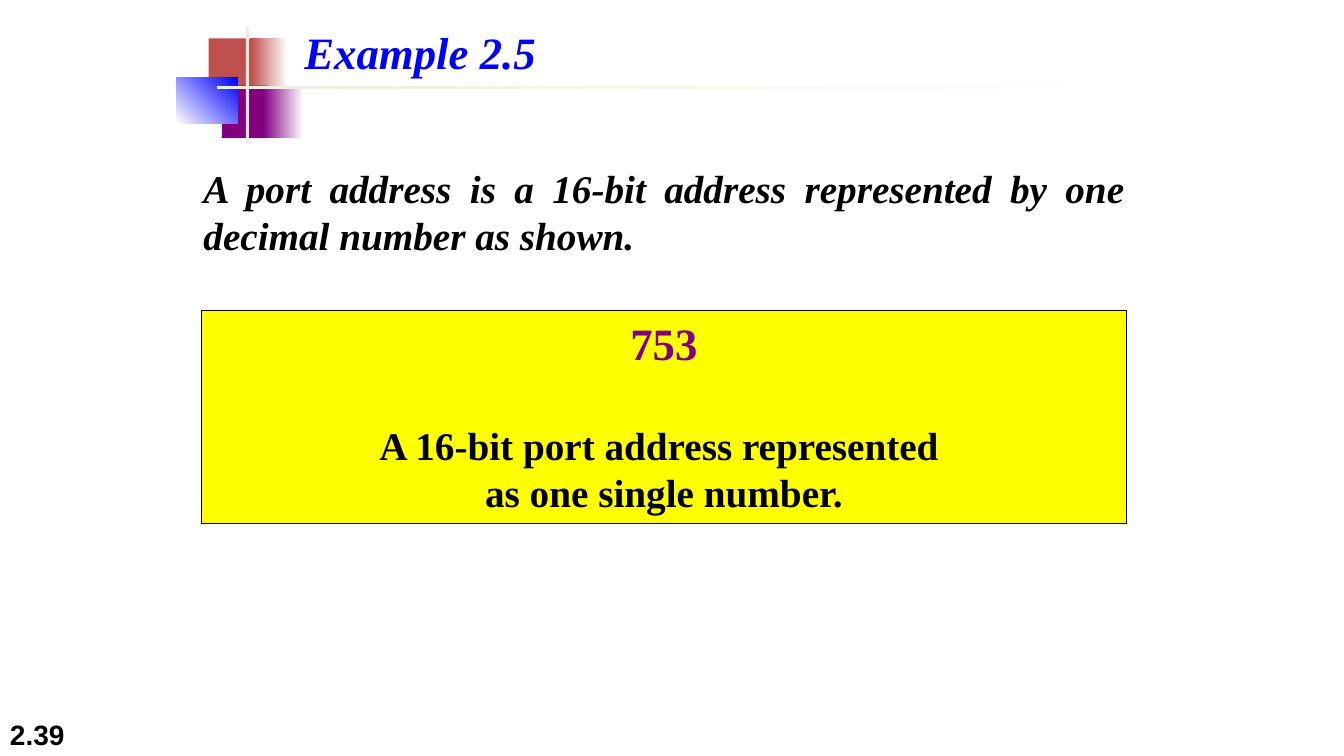
from pptx import Presentation
from pptx.dml.color import RGBColor
from pptx.enum.shapes import MSO_SHAPE as Shape
from pptx.enum.text import MSO_ANCHOR as Anchor, PP_ALIGN as Align
from pptx.util import Inches, Pt


def color(hex_value):
    return RGBColor.from_string(hex_value)


def write(paragraph, text, size, hex_value, font="Times New Roman", italic=False, align=Align.LEFT):
    paragraph.text = text
    paragraph.alignment = align
    paragraph.font.name = font
    paragraph.font.size = Pt(size)
    paragraph.font.bold = True
    paragraph.font.italic = italic
    paragraph.font.color.rgb = color(hex_value)


presentation = Presentation()
presentation.slide_width = Inches(13.33)
presentation.slide_height = Inches(7.5)
slide = presentation.slides.add_slide(presentation.slide_layouts[6])
shapes = slide.shapes

# Header ornament: left, top, width, height, colours (two make a gradient), angle
ornament = [
    (2.07, 0.38, 0.48, 0.52, ["C0504D"], 0),
    (2.49, 0.38, 0.36, 0.52, ["C0504D", "FFFFFF"], 0),
    (2.2, 0.85, 0.46, 0.52, ["800080"], 0),
    (2.61, 0.85, 0.4, 0.52, ["800080", "FFFFFF"], 0),
    (1.75, 0.77, 0.61, 0.46, ["FFFFFF", "0000FF"], 45),
    (2.44, 0.27, 0.03, 1.15, ["EEECE1"], 0),
    (2.15, 0.85, 9, 0.03, ["EEECE1", "FFFFFF"], 0),
]
for left, top, width, height, colors, angle in ornament:
    block = shapes.add_shape(Shape.RECTANGLE, Inches(left), Inches(top), Inches(width), Inches(height))
    block.shadow.inherit = False
    block.line.fill.background()
    if len(colors) == 1:
        block.fill.solid()
        block.fill.fore_color.rgb = color(colors[0])
    else:
        block.fill.gradient()
        block.fill.gradient_angle = angle
        for stop, hex_value in zip(block.fill.gradient_stops, colors):
            stop.color.rgb = color(hex_value)

# Slide number
number = shapes.add_textbox(Inches(0), Inches(7), Inches(2.08), Inches(0.5)).text_frame
number.word_wrap = True
number.vertical_anchor = Anchor.BOTTOM
write(number.paragraphs[0], "2.39", 20, "000000", font="Arial")

# Title
title = shapes.add_textbox(Inches(2.92), Inches(0.2), Inches(2.5), Inches(0.63)).text_frame
title.word_wrap = False
write(title.paragraphs[0], "Example 2.5", 32, "0000FF", italic=True)

# Statement
statement = shapes.add_textbox(Inches(1.92), Inches(1.58), Inches(9.33), Inches(1.03)).text_frame
statement.word_wrap = True
write(statement.paragraphs[0],
      "A port address is a 16-bit address represented by one decimal number as shown.",
      28, "000000", italic=True, align=Align.JUSTIFY)

# Yellow answer box
answer_box = shapes.add_shape(Shape.RECTANGLE, Inches(2), Inches(3.08), Inches(9.17), Inches(2.11))
answer_box.shadow.inherit = False
answer_box.fill.solid()
answer_box.fill.fore_color.rgb = color("FFFF00")
answer_box.line.color.rgb = color("000000")
answer_box.line.width = Pt(0.75)
answer = answer_box.text_frame
answer.word_wrap = True
answer.vertical_anchor = Anchor.TOP
write(answer.paragraphs[0], "753", 32, "800080", align=Align.CENTER)
caption = answer.add_paragraph()
caption.space_before = Pt(37)
write(caption, "A 16-bit port address represented \nas one single number.", 28, "000000", align=Align.CENTER)

presentation.save("out.pptx")
